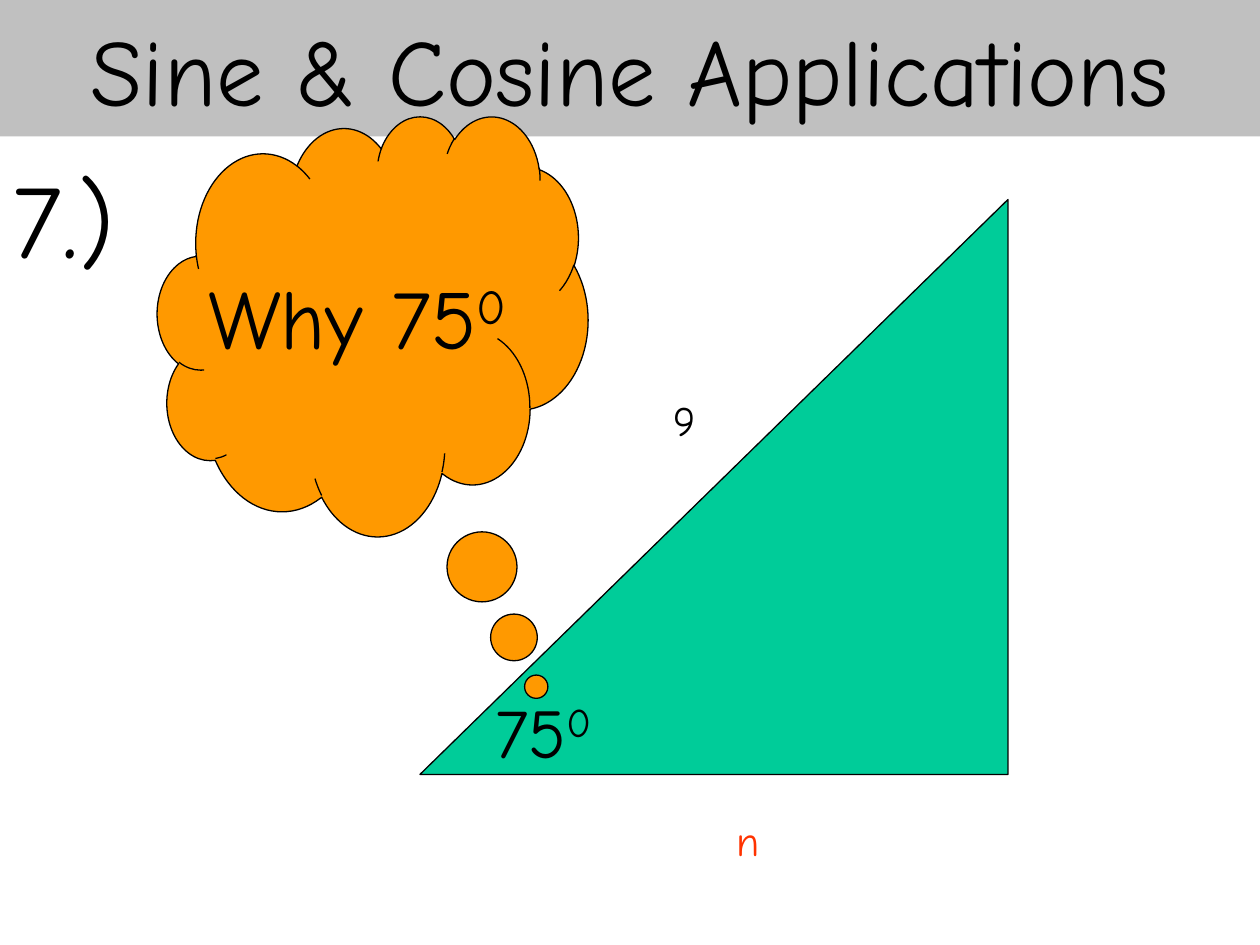
from pptx import Presentation
from pptx.dml.color import RGBColor
from pptx.enum.shapes import MSO_SHAPE
from pptx.enum.text import MSO_ANCHOR, PP_ALIGN
from pptx.util import Inches, Pt

BLACK = RGBColor(0x00, 0x00, 0x00)
GREY = RGBColor(0xC0, 0xC0, 0xC0)
GREEN = RGBColor(0x00, 0xCC, 0x99)
ORANGE = RGBColor(0xFF, 0x99, 0x00)
RED = RGBColor(0xFF, 0x33, 0x00)

RECTANGLE = MSO_SHAPE.RECTANGLE
TRIANGLE = MSO_SHAPE.RIGHT_TRIANGLE
CLOUD = MSO_SHAPE.CLOUD_CALLOUT
TOP, MIDDLE = MSO_ANCHOR.TOP, MSO_ANCHOR.MIDDLE
LEFT, CENTER = PP_ALIGN.LEFT, PP_ALIGN.CENTER

FONT = "Comic Neue"
COLUMNS, ROWS = 120, 90
CELL = Inches(10) / COLUMNS


def grid(*cells):
    """Turn column and row counts into slide lengths."""
    return [round(count * CELL) for count in cells]


def add_span(para, text, size, color, superscript=False):
    span = para.add_run()
    span.text = text
    span.font.name = FONT
    span.font.size = Pt(size)
    span.font.color.rgb = color
    if superscript:
        span.font._element.set("baseline", "30000")


def write(box, text, size, color=BLACK, degree="", align=LEFT, anchor=TOP, wrap=True):
    """Fill a box with one line, optionally ending in a raised degree mark."""
    frame = box.text_frame
    frame.word_wrap = wrap
    frame.vertical_anchor = anchor
    para = frame.paragraphs[0]
    para.alignment = align
    add_span(para, text, size, color)
    if degree:
        add_span(para, degree, size, color, superscript=True)


def add_label(page, cells, text, size, **style):
    write(page.shapes.add_textbox(*grid(*cells)), text, size, **style)


def add_figure(page, kind, cells, fill, outlined=True):
    figure = page.shapes.add_shape(kind, *grid(*cells))
    figure.shadow.inherit = False
    figure.fill.solid()
    figure.fill.fore_color.rgb = fill
    if outlined:
        figure.line.color.rgb = BLACK
        figure.line.width = Pt(0.75)
    else:
        figure.line.fill.background()
    return figure


def add_title(page):
    banner = add_figure(page, RECTANGLE, (0, 0, COLUMNS, 13), GREY, outlined=False)
    write(banner, "Sine & Cosine Applications", 54, align=CENTER, anchor=MIDDLE)


def add_triangle(page):
    triangle = add_figure(page, TRIANGLE, (40, 19, 56, 54.75), GREEN)
    triangle._element.spPr.xfrm.set("flipH", "1")
    add_label(page, (63, 37, 7.2, 8.4), "9", 24, wrap=False)
    add_label(page, (69, 77, 7.2, 8.4), "n", 24, color=RED, wrap=False)
    add_label(page, (46, 65, 16, 9.25), "75", 40, degree="0")


def add_thought(page):
    cloud = add_figure(page, CLOUD, (15, 11, 41, 40), ORANGE)
    cloud.adjustments[0] = 0.38
    cloud.adjustments[1] = 0.86
    write(cloud, "Why 75", 48, degree="0", align=CENTER, anchor=MIDDLE, wrap=False)


def main():
    deck = Presentation()
    deck.slide_width, deck.slide_height = grid(COLUMNS, ROWS)
    page = deck.slides.add_slide(deck.slide_layouts[6])
    add_title(page)
    add_label(page, (0, 14, COLUMNS, ROWS - 14), "7.)", 60)
    add_triangle(page)
    add_thought(page)
    deck.save("out.pptx")


if __name__ == "__main__":
    main()
